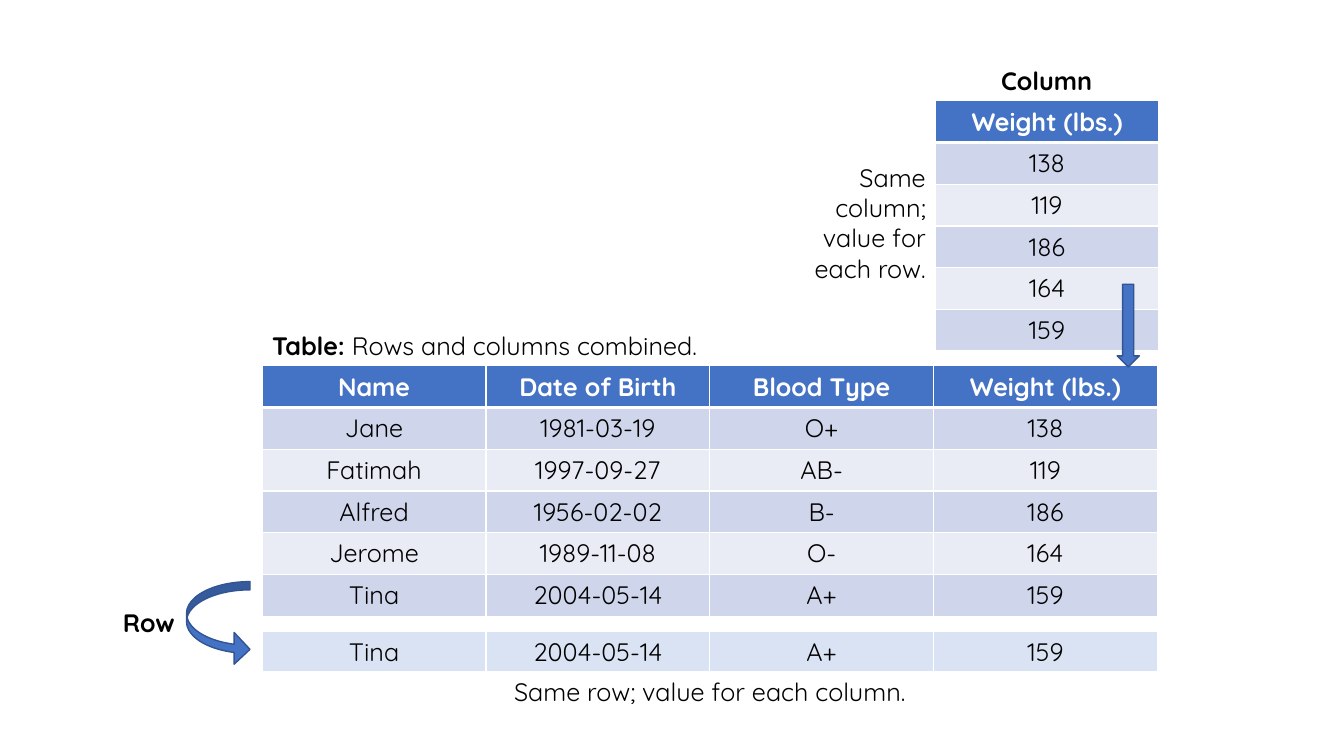
from lxml import etree
from pptx import Presentation
from pptx import util as u
from pptx.dml.color import RGBColor
from pptx.enum import shapes, text
from pptx.oxml.ns import qn

HEAD = ("Name", "Date of Birth", "Blood Type", "Weight (lbs.)")
PEOPLE = [
    ("Jane", "1981-03-19", "O+", "138"),
    ("Fatimah", "1997-09-27", "AB-", "119"),
    ("Alfred", "1956-02-02", "B-", "186"),
    ("Jerome", "1989-11-08", "O-", "164"),
    ("Tina", "2004-05-14", "A+", "159"),
]
FULL = [HEAD] + PEOPLE
WEIGHT = [row[-1:] for row in FULL]
LAST = PEOPLE[-1:]

FONT = "Quicksand"
BLUE = RGBColor(0x44, 0x72, 0xC4)
EDGE = RGBColor(0x32, 0x54, 0x91)
DARK = RGBColor(0xCF, 0xD5, 0xEA)
LIGHT = RGBColor(0xE9, 0xEB, 0xF5)
PALE = RGBColor(0xDA, 0xE3, 0xF3)
WHITE = RGBColor(0xFF, 0xFF, 0xFF)
BLACK = RGBColor(0, 0, 0)

# Table grid in inches
LEFT, TOP, COL, ROW = 2.6, 3.63, 2.22, 0.41
WIDE = COL * len(HEAD)
LAST_COL = LEFT + COL * (len(HEAD) - 1)
ALIGN = text.PP_ALIGN

# Runs (words, bold), left, top, width, height, alignment
LABELS = [
    ([("Column", True)], 9.82, 0.6, 1.12, 0.4, ALIGN.CENTER),
    ([("Row", True)], 1.12, 5.98, 0.96, 0.4, ALIGN.LEFT),
    ([("Same column; value for each row.", False)],
     7.93, 1.56, 1.35, 1.31, ALIGN.RIGHT),
    ([("Same row; value for each column.", False)],
     4.33, 6.66, 5.42, 0.4, ALIGN.CENTER),
    ([("Table: ", True), ("Rows and columns combined.", False)],
     LEFT, TOP - 0.4, 4.55, 0.4, ALIGN.LEFT),
]
ARROWS = [
    (shapes.MSO_SHAPE.CURVED_RIGHT_ARROW, 1.85, 5.77, 0.63, 0.83,
     (0.13, 0.5, 0.25)),
    (shapes.MSO_SHAPE.DOWN_ARROW, 11.08, 2.82, 0.22, 0.82, (0.5, 0.5)),
]


def box(*sizes):
    return [u.Inches(size) for size in sizes]


def style(para, color, align):
    para.alignment = align
    para.font.name = FONT
    para.font.size = u.Pt(18)
    para.font.color.rgb = color


def rule(cell, base):
    """Draw white cell borders; base is the width of the lower one."""
    props = cell._tc.get_or_add_tcPr()
    for side, width in zip("LRTB", (1, 1, 1, base)):
        line = etree.SubElement(props, qn("a:ln" + side), w=str(u.Pt(width)))
        fill = etree.SubElement(line, qn("a:solidFill"))
        etree.SubElement(fill, qn("a:srgbClr"), val=str(WHITE))


def grid(slide, rows, left, top, width, head=True):
    count = len(rows[0])
    table = slide.shapes.add_table(
        len(rows), count, *box(left, top, width, ROW * len(rows))).table
    table.first_row = head
    table.horz_banding = False
    for col in table.columns:
        col.width = u.Inches(width / count)
    for i, row in enumerate(rows):
        table.rows[i].height = u.Inches(ROW)
        title = head and i == 0
        if title:
            back = BLUE
        elif head:
            back = DARK if i % 2 else LIGHT
        else:
            back = PALE
        for j, words in enumerate(row):
            cell = table.cell(i, j)
            rule(cell, 3 if title or not head else 1)
            cell.fill.solid()
            cell.fill.fore_color.rgb = back
            cell.text = words
            para = cell.text_frame.paragraphs[0]
            style(para, WHITE if title else BLACK, ALIGN.CENTER)
            para.font.bold = title


def arrow(slide, kind, left, top, width, height, adjust):
    shape = slide.shapes.add_shape(kind, *box(left, top, width, height))
    shape.shadow.inherit = False
    shape.fill.solid()
    shape.fill.fore_color.rgb = BLUE
    shape.line.color.rgb = EDGE
    shape.line.width = u.Pt(1)
    for i, value in enumerate(adjust):
        shape.adjustments[i] = value


def label(slide, runs, left, top, width, height, align):
    frame = slide.shapes.add_textbox(
        *box(left, top, width, height)).text_frame
    frame.word_wrap = True
    para = frame.paragraphs[0]
    style(para, BLACK, align)
    for words, bold in runs:
        run = para.add_run()
        run.text = words
        run.font.bold = bold


def main():
    deck = Presentation()
    deck.slide_width, deck.slide_height = box(13.33, 7.5)
    slide = deck.slides.add_slide(deck.slide_layouts[6])
    grid(slide, FULL, LEFT, TOP, WIDE)
    grid(slide, WEIGHT, LAST_COL + 0.02, 1, COL - 0.01)
    grid(slide, LAST, LEFT, 6.26, WIDE, head=False)
    for item in ARROWS:
        arrow(slide, *item)
    for item in LABELS:
        label(slide, *item)
    deck.save("out.pptx")


if __name__ == "__main__":
    main()
